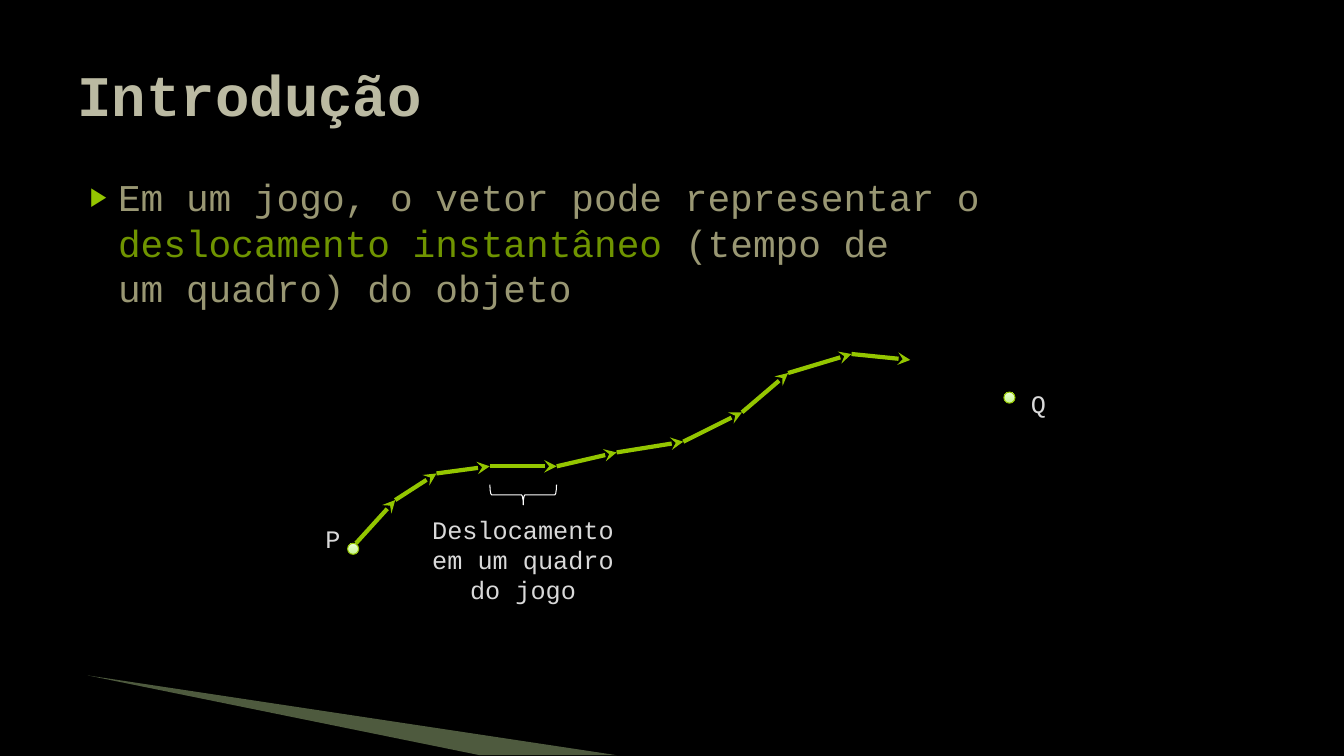
from itertools import pairwise

from lxml.etree import SubElement
from pptx import Presentation
from pptx.dml.color import RGBColor
from pptx.enum.shapes import MSO_CONNECTOR as Connector, MSO_SHAPE as Shape
from pptx.enum.text import MSO_ANCHOR as Anchor, MSO_AUTO_SIZE as AutoSize, PP_ALIGN as Align
from pptx.oxml.ns import qn
from pptx.util import Cm, Pt

BLACK = RGBColor(0x00, 0x00, 0x00)
WHITE = RGBColor(0xFF, 0xFF, 0xFF)
TITLE = RGBColor(0xBB, 0xBA, 0xA2)
BODY = RGBColor(0x99, 0x97, 0x73)
EMPHASIS = RGBColor(0x6F, 0x94, 0x00)
LABEL = RGBColor(0xD9, 0xD9, 0xD9)
GREEN = RGBColor(0x94, 0xC6, 0x00)
BEAM = RGBColor(0xC3, 0xE1, 0x9D)
POINT_DARK = RGBColor(0xC8, 0xF4, 0x92)
POINT_LIGHT = RGBColor(0xEC, 0xFF, 0xD8)


class SlideBuilder:
    font = "Courier New"

    def __init__(self, slide):
        self.slide = slide
        background = slide.background.fill
        background.solid()
        background.fore_color.rgb = BLACK

    def set_font(self, paragraph, size, color, bold=False):
        font = paragraph.font
        font.name, font.size, font.bold = self.font, Pt(size), bold
        font.color.rgb = color

    def place(self, shape, left, top, width, height):
        shape.left, shape.top = Cm(left), Cm(top)
        shape.width, shape.height = Cm(width), Cm(height)

    def title(self, text, box):
        shape = self.slide.shapes.title
        self.place(shape, *box)
        frame = shape.text_frame
        frame.text = text
        frame.auto_size = AutoSize.NONE
        frame.vertical_anchor = Anchor.MIDDLE
        paragraph = frame.paragraphs[0]
        paragraph.alignment = Align.LEFT
        self.set_font(paragraph, 41, TITLE, bold=True)

    def bullet(self, lines, box):
        """Each line is a list of (text, color) runs."""
        shape = self.slide.placeholders[1]
        self.place(shape, *box)
        frame = shape.text_frame
        frame.auto_size = AutoSize.NONE
        frame.margin_top = Cm(0.27)
        paragraph = frame.paragraphs[0]
        properties = paragraph._p.get_or_add_pPr()
        properties.set("marL", str(Cm(1.02)))
        properties.set("indent", str(Cm(-0.71)))
        color = SubElement(properties, qn("a:buClr"))
        SubElement(color, qn("a:srgbClr"), val=str(GREEN))
        SubElement(properties, qn("a:buSzPct"), val="68000")
        SubElement(properties, qn("a:buChar"), char="▶")
        paragraph.space_before = Pt(0)
        for number, line in enumerate(lines):
            if number:
                paragraph.add_line_break()
            for text, run_color in line:
                run = paragraph.add_run()
                run.text = text
                run.font.color.rgb = run_color
        self.set_font(paragraph, 27, BODY)

    def label(self, text, box, alignment=Align.LEFT):
        shape = self.slide.shapes.add_textbox(*map(Cm, box))
        frame = shape.text_frame
        frame.text = text
        frame.word_wrap = False
        for paragraph in frame.paragraphs:
            paragraph.alignment = alignment
            self.set_font(paragraph, 18, LABEL)

    def beam(self, points):
        corners = [(Cm(x), Cm(y)) for x, y in points]
        builder = self.slide.shapes.build_freeform(*corners[0])
        builder.add_line_segments(corners[1:], close=True)
        shape = builder.convert_to_shape()
        shape.shadow.inherit = False
        shape.fill.solid()
        shape.fill.fore_color.rgb = BEAM
        color = shape._element.spPr.find(qn("a:solidFill"))[0]
        SubElement(color, qn("a:alpha"), val="40000")
        shape.line.fill.background()

    def outlined(self, kind, box, color):
        shape = self.slide.shapes.add_shape(kind, *map(Cm, box))
        shape.shadow.inherit = False
        shape.line.color.rgb = color
        shape.line.width = Pt(0.75)
        return shape

    def point(self, left, top):
        fill = self.outlined(Shape.OVAL, (left, top, 0.28, 0.28), GREEN).fill
        fill.gradient()
        fill.gradient_angle = 90
        for stop, color in zip(fill.gradient_stops, (POINT_DARK, POINT_LIGHT)):
            stop.color.rgb = color

    def brace(self, box):
        shape = self.outlined(Shape.RIGHT_BRACE, box, WHITE)
        shape.fill.background()
        shape.rotation = 90

    def arrow(self, start, end):
        line = self.slide.shapes.add_connector(Connector.STRAIGHT, *map(Cm, start + end))
        line.line.color.rgb = GREEN
        line.line.width = Pt(3)
        SubElement(line.line._get_or_add_ln(), qn("a:tailEnd"), type="stealth")
        SubElement(line._element.spPr, qn("a:effectLst"))


def main():
    presentation = Presentation()
    presentation.slide_width, presentation.slide_height = Cm(33.87), Cm(19.05)
    builder = SlideBuilder(presentation.slides.add_slide(presentation.slide_layouts[1]))

    # Decoration
    builder.beam([(2.21, 17.02), (15.54, 19.03), (12.09, 19.03)])

    # Title and statement
    builder.title("Introdução", (1.7, 0.76, 30.48, 3.18))
    builder.bullet([
        [("Em um jogo, o vetor pode representar o ", BODY)],
        [("deslocamento instantâneo", EMPHASIS), (" (tempo de ", BODY)],
        [("um quadro) do objeto", BODY)],
    ], (1.7, 4.11, 30.48, 12.57))

    # Start and end points
    builder.label("P", (7.95, 13.06, 0.86, 1.02))
    builder.label("Q", (25.73, 9.65, 1.02, 1.02))
    builder.point(8.76, 13.69)
    builder.point(25.3, 9.88)

    # Trajectory, one arrow per frame
    trajectory = [
        (8.97, 13.69), (9.96, 12.6), (11, 11.93), (12.34, 11.75),
        (14.03, 11.75), (15.54, 11.4), (17.22, 11.13), (18.7, 10.39),
        (19.86, 9.4), (21.46, 8.92), (22.94, 9.07),
    ]
    for start, end in pairwise(trajectory):
        builder.arrow(start, end)

    # Displacement in one frame
    builder.label("Deslocamento\nem um quadro\ndo jogo", (10.54, 12.83, 5.28, 2.57), Align.CENTER)
    builder.brace((12.93, 11.63, 0.51, 1.68))

    presentation.save("out.pptx")


if __name__ == "__main__":
    main()
